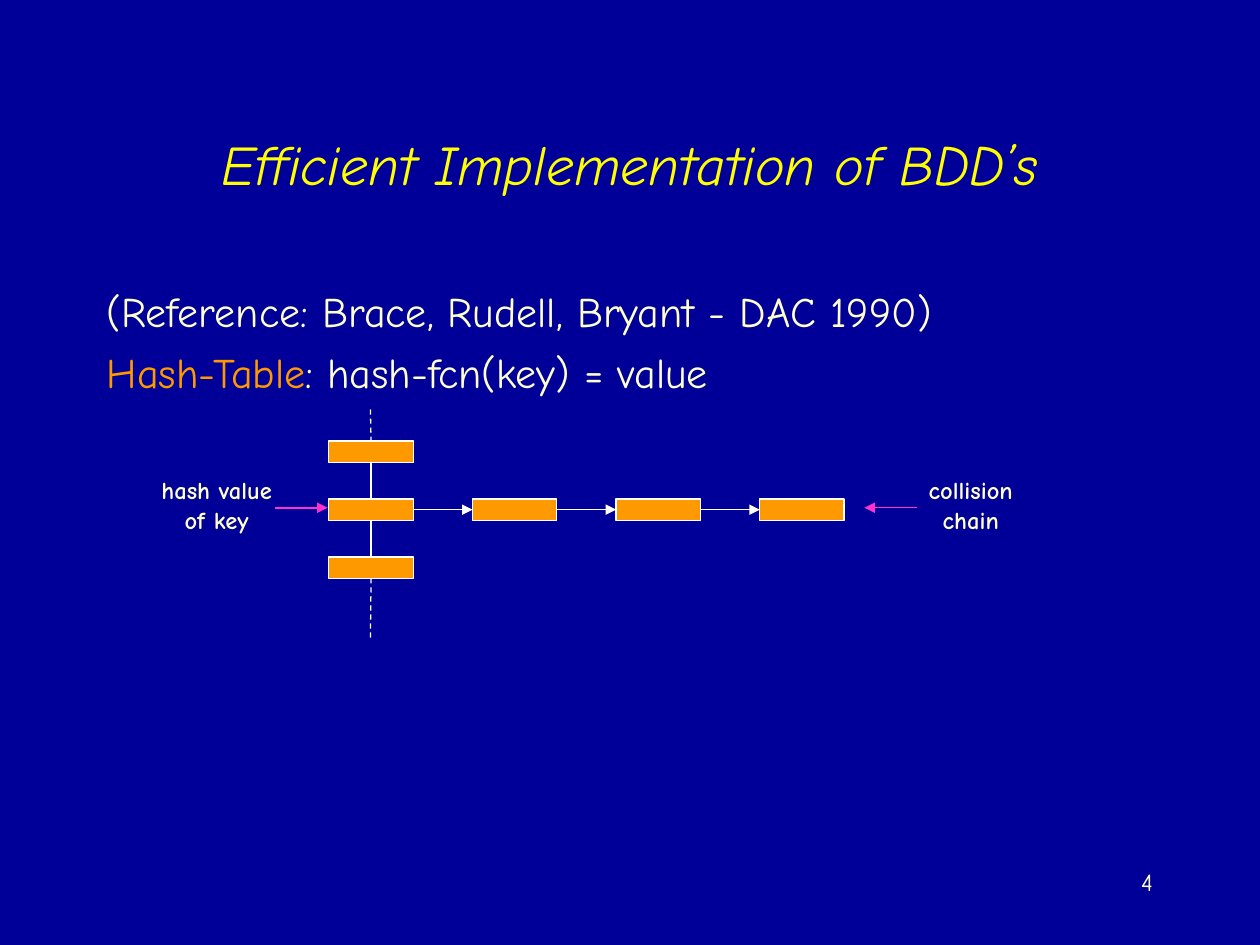
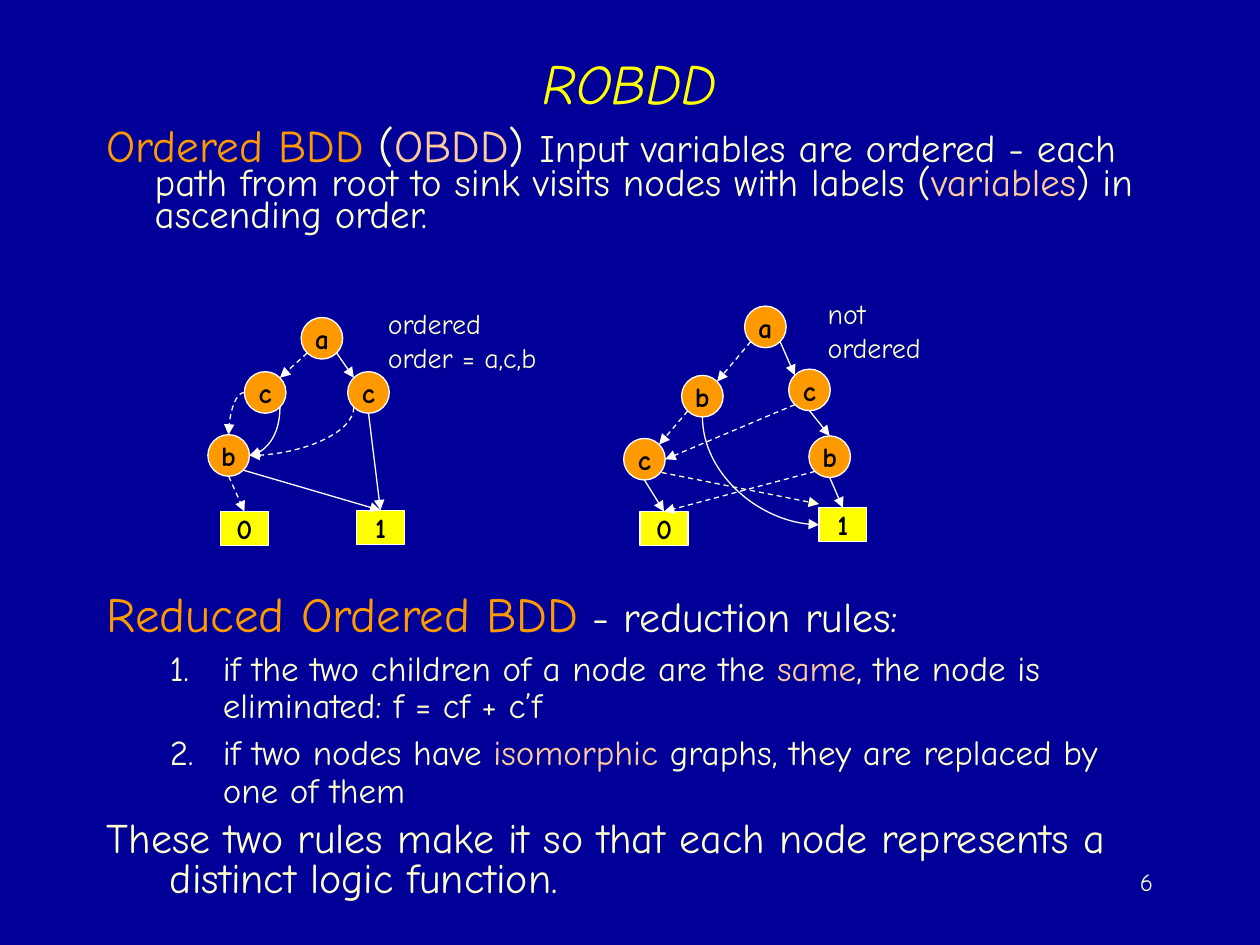
from lxml import etree
from pptx import Presentation
from pptx.dml import color
from pptx.enum import dml, shapes, text
from pptx.oxml import ns
from pptx.util import Inches, Pt

FONT = "Comic Neue"
NAVY, YELLOW, CREAM = "000099", "FFFF00", "FFFFCC"
ORANGE, PEACH, PINK = "FF9900", "FFCC99", "FF33CC"
WHITE, BLACK = "FFFFFF", "000000"
CENTER, RIGHT = text.PP_ALIGN.CENTER, text.PP_ALIGN.RIGHT
TOP, LEFT, BOTTOM, END = 0, 1, 2, 3
NODE_SIZE = 0.33
DIAGONAL = 0.5 ** 0.5
PORTS = {
    "n": (0, -1), "s": (0, 1), "e": (1, 0), "w": (-1, 0),
    "ne": (DIAGONAL, -DIAGONAL), "nw": (-DIAGONAL, -DIAGONAL),
    "se": (DIAGONAL, DIAGONAL), "sw": (-DIAGONAL, DIAGONAL),
}


def rgb(value):
    return color.RGBColor.from_string(value)


def add_element(parent, tag, **attributes):
    return etree.SubElement(parent, ns.qn(tag), **attributes)


def port(shape, side):
    x, y = PORTS[side]
    half_width, half_height = shape.width / 2, shape.height / 2
    return (
        (shape.left + half_width * (1 + x)) / Inches(1),
        (shape.top + half_height * (1 + y)) / Inches(1),
    )


class Deck:
    def __init__(self):
        self.presentation = Presentation()
        self.presentation.slide_width = Inches(10)
        self.presentation.slide_height = Inches(7.5)
        self.slide = None

    def add_slide(self, title, title_top, title_height, number):
        self.slide = self.presentation.slides.add_slide(self.presentation.slide_layouts[6])
        fill = self.slide.background.fill
        fill.solid()
        fill.fore_color.rgb = rgb(NAVY)
        frame = self.box(0.75, title_top, 8.5, title_height, middle=True)
        self.paragraph(frame, title, 32, YELLOW, align=CENTER, italic=True)
        frame = self.box(7.17, 6.83, 2.08, 0.5)
        self.paragraph(frame, number, 14, align=RIGHT)

    def box(self, left, top, width, height, middle=False, wrap=True):
        shape = self.slide.shapes.add_textbox(
            Inches(left), Inches(top), Inches(width), Inches(height)
        )
        frame = shape.text_frame
        frame.word_wrap = wrap
        if middle:
            frame.vertical_anchor = text.MSO_ANCHOR.MIDDLE
        return frame

    def paragraph(self, frame, runs, size, ink=CREAM, align=None, bold=None, italic=None,
                  indent=None, hanging=None, spacing=None, before=None, numbered=False):
        first = frame.paragraphs[0]
        paragraph = frame.add_paragraph() if first.runs else first
        paragraph.alignment = align
        if spacing:
            paragraph.line_spacing = spacing
        if before and paragraph is not first:
            paragraph.space_before = Pt(before)
        properties = paragraph._p.get_or_add_pPr()
        if indent:
            properties.set("marL", str(Inches(indent)))
            properties.set("indent", str(-Inches(hanging or indent)))
        if numbered:
            add_element(add_element(properties, "a:buClr"), "a:srgbClr", val=ink)
            add_element(properties, "a:buFont", typeface=FONT)
            add_element(properties, "a:buAutoNum", type="arabicPeriod")
        font = paragraph.font
        font.name, font.size, font.bold, font.italic = FONT, Pt(size), bold, italic
        font.color.rgb = rgb(ink)
        for words, *style in [(runs,)] if isinstance(runs, str) else runs:
            run = paragraph.add_run()
            run.text = words
            if style:
                run.font.color.rgb = rgb(style[0])
            if style[1:]:
                run.font.size = Pt(style[1])

    def label(self, left, top, width, height, lines, size, **style):
        frame = self.box(left, top, width, height, middle=True, wrap=False)
        frame.auto_size = text.MSO_AUTO_SIZE.SHAPE_TO_FIT_TEXT
        for line in lines:
            self.paragraph(frame, line, size, **style)

    def block(self, kind, left, top, width, height, fill, caption=None):
        shape = self.slide.shapes.add_shape(
            kind, Inches(left), Inches(top), Inches(width), Inches(height)
        )
        shape.shadow.inherit = False
        shape.fill.solid()
        shape.fill.fore_color.rgb = rgb(fill)
        shape.line.color.rgb = rgb(WHITE)
        shape.line.width = Pt(0.75)
        if caption:
            frame = shape.text_frame
            frame.word_wrap = False
            frame.vertical_anchor = text.MSO_ANCHOR.MIDDLE
            self.paragraph(frame, caption, 16, BLACK, align=CENTER, bold=True)
        return shape

    def bucket(self, left, top):
        return self.block(shapes.MSO_SHAPE.RECTANGLE, left, top, 0.67, 0.17, ORANGE)

    def node(self, caption, left, top):
        return self.block(shapes.MSO_SHAPE.OVAL, left, top, NODE_SIZE, NODE_SIZE, ORANGE, caption)

    def leaf(self, caption, left, top):
        return self.block(shapes.MSO_SHAPE.RECTANGLE, left, top, 0.38, 0.27, YELLOW, caption)

    def line(self, start, end, ink=WHITE, width=0.75, dashed=False, arrow=True,
             begin_at=None, end_at=None, kind=shapes.MSO_CONNECTOR.STRAIGHT):
        connector = self.slide.shapes.add_connector(
            kind, *(Inches(value) for value in (*start, *end))
        )
        if begin_at:
            connector.begin_connect(*begin_at)
        if end_at:
            connector.end_connect(*end_at)
        connector.line.color.rgb = rgb(ink)
        connector.line.width = Pt(width)
        if dashed:
            connector.line.dash_style = dml.MSO_LINE.DASH
        if arrow:
            add_element(connector.get_or_add_ln(), "a:tailEnd", type="triangle")
        add_element(connector.element.spPr, "a:effectLst")
        return connector

    def edge(self, source, source_side, target, target_side, dashed=False):
        is_leaf = target.auto_shape_type == shapes.MSO_SHAPE.RECTANGLE
        self.line(port(source, source_side), port(target, target_side), dashed=dashed,
                  end_at=(target, TOP) if is_leaf else None)

    def curve(self, source, source_side, target, target_side, dashed=False):
        start, end = port(source, source_side), port(target, target_side)
        falls_first = source_side != "w"
        if falls_first:
            across, down = end[0] - start[0], end[1] - start[1]
            x, y = (start[0] + end[0]) / 2, (start[1] + end[1]) / 2
            start, end = (x - down / 2, y + across / 2), (x + down / 2, y - across / 2)
        connector = self.line(start, end, dashed=dashed, kind=shapes.MSO_CONNECTOR.CURVE)
        properties = connector.element.spPr
        properties.find(ns.qn("a:prstGeom")).set("prst", "curvedConnector2")
        if falls_first:
            properties.find(ns.qn("a:xfrm")).set("rot", "5400000")


def hash_table_slide(deck):
    deck.add_slide("Efficient Implementation of BDD’s", 0.67, 1.25, "4")
    frame = deck.box(0.75, 2.22, 8.5, 1)
    for runs in (
        "(Reference: Brace, Rudell, Bryant - DAC 1990)",
        [("Hash-Table", ORANGE), (": hash-fcn(key) = value",)],
    ):
        deck.paragraph(frame, runs, 24, indent=0.38, before=6)

    column = [deck.bucket(2.61, 3.5 + 0.46 * row) for row in range(3)]
    chain = [column[1]] + [deck.bucket(2.61 + 1.14 * step, 3.96) for step in range(1, 4)]
    for upper, lower in zip(column, column[1:]):
        deck.line(port(upper, "s"), port(lower, "n"), arrow=False,
                  begin_at=(upper, BOTTOM), end_at=(lower, TOP))
    for before, after in zip(chain, chain[1:]):
        deck.line(port(before, "e"), port(after, "w"),
                  begin_at=(before, END), end_at=(after, LEFT))
    deck.line((2.94, 3.25), port(column[0], "n"), dashed=True, arrow=False,
              end_at=(column[0], TOP))
    deck.line(port(column[2], "s"), (2.94, 5.08), dashed=True, arrow=False,
              begin_at=(column[2], BOTTOM))

    deck.line((2.18, 4.03), (2.6, 4.03), PINK, width=1)
    deck.line((7.28, 4.03), (6.86, 4.03), PINK)
    deck.label(1.18, 3.72, 1.08, 0.57, ["hash value", "of key"], 14, align=CENTER, bold=True)
    deck.label(7.27, 3.72, 0.87, 0.57, ["collision", "chain"], 14, align=CENTER, bold=True)


def ordered_graph(deck):
    a = deck.node("a", 2.39, 2.52)
    c_low = deck.node("c", 1.94, 2.95)
    c_high = deck.node("c", 2.76, 2.95)
    b = deck.node("b", 1.65, 3.45)
    zero = deck.leaf("0", 1.75, 4.06)
    one = deck.leaf("1", 2.83, 4.05)
    deck.edge(a, "sw", c_low, "ne", dashed=True)
    deck.edge(a, "se", c_high, "nw")
    deck.edge(b, "se", one, "n")
    deck.edge(c_high, "s", one, "n")
    deck.edge(b, "s", zero, "n", dashed=True)
    deck.curve(c_low, "w", b, "n", dashed=True)
    deck.curve(c_high, "sw", b, "e", dashed=True)
    deck.curve(c_low, "se", b, "e")
    deck.label(2.98, 2.38, 1.38, 0.64, ["ordered", "order = a,c,b"], 16)


def unordered_graph(deck):
    a = deck.node("a", 5.91, 2.43)
    b_low = deck.node("b", 5.41, 2.98)
    c_high = deck.node("c", 6.26, 2.93)
    c_low = deck.node("c", 4.95, 3.48)
    b_high = deck.node("b", 6.42, 3.46)
    zero = deck.leaf("0", 5.08, 4.06)
    one = deck.leaf("1", 6.5, 4.03)
    deck.edge(a, "sw", b_low, "ne", dashed=True)
    deck.edge(a, "se", c_high, "nw")
    deck.edge(c_high, "s", b_high, "n")
    deck.edge(c_low, "s", zero, "n")
    deck.edge(c_high, "sw", c_low, "e", dashed=True)
    deck.edge(b_low, "sw", c_low, "ne", dashed=True)
    deck.edge(b_high, "sw", zero, "n", dashed=True)
    deck.edge(b_high, "s", one, "n")
    deck.curve(b_low, "s", one, "w")
    deck.line((5.25, 3.75), (6.5, 4), CREAM, dashed=True)
    deck.label(6.47, 2.3, 0.95, 0.64, ["not", "ordered"], 16)


def robdd_slide(deck):
    deck.add_slide("ROBDD", 0.15, 1, "6")
    frame = deck.box(0.75, 1, 8.5, 1)
    deck.paragraph(frame, [
        ("Ordered BDD", ORANGE, 25.9),
        (" (", CREAM, 25.9),
        ("OBDD", PEACH, 25.9),
        (") ", CREAM, 25.9),
        ("Input variables are ordered - each path from root to sink visits nodes with labels (",),
        ("variables", PEACH),
        (") in ascending order.",),
    ], 22.2, indent=0.38, spacing=0.7)

    ordered_graph(deck)
    unordered_graph(deck)

    frame = deck.box(0.75, 4.58, 8.5, 2.75)
    deck.paragraph(frame, [("Reduced Ordered BDD", ORANGE, 28), (" - reduction rules:",)],
                   24, indent=0.5)
    for opening, term, ending in (
        ("if the two children of a node are the ", "same",
         ", the node is eliminated: f = cf + c’f"),
        ("if two nodes have ", "isomorphic", " graphs, they are replaced by one of them"),
    ):
        deck.paragraph(frame, [(opening,), (term, PEACH), (ending,)], 20, indent=0.92,
                       hanging=0.42, spacing=0.9, before=5, numbered=True)
    deck.paragraph(
        frame,
        "These two rules make it so that each node represents a distinct logic function.",
        24, indent=0.5, spacing=0.8, before=6,
    )


def main():
    deck = Deck()
    hash_table_slide(deck)
    robdd_slide(deck)
    deck.presentation.save("out.pptx")


if __name__ == "__main__":
    main()
